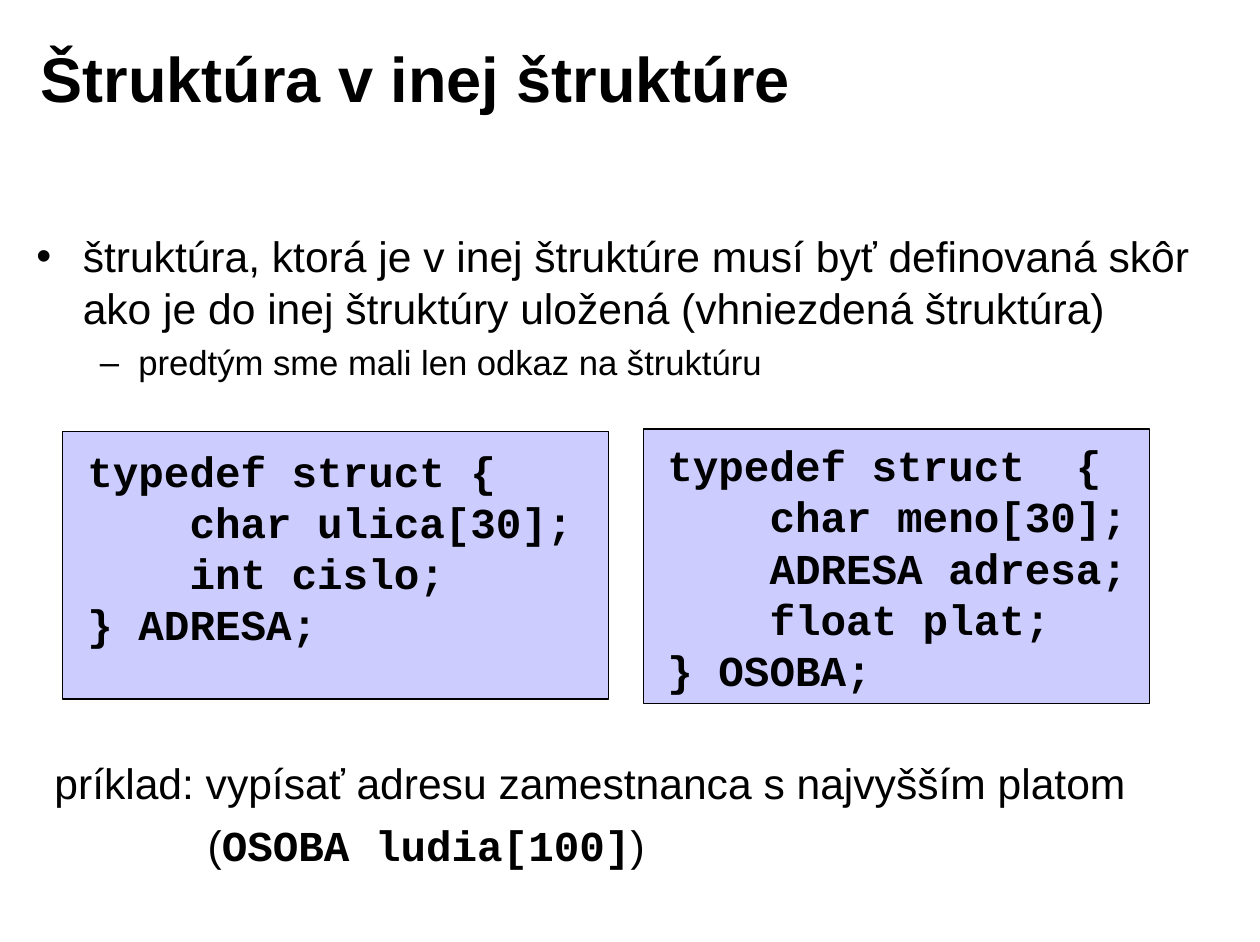
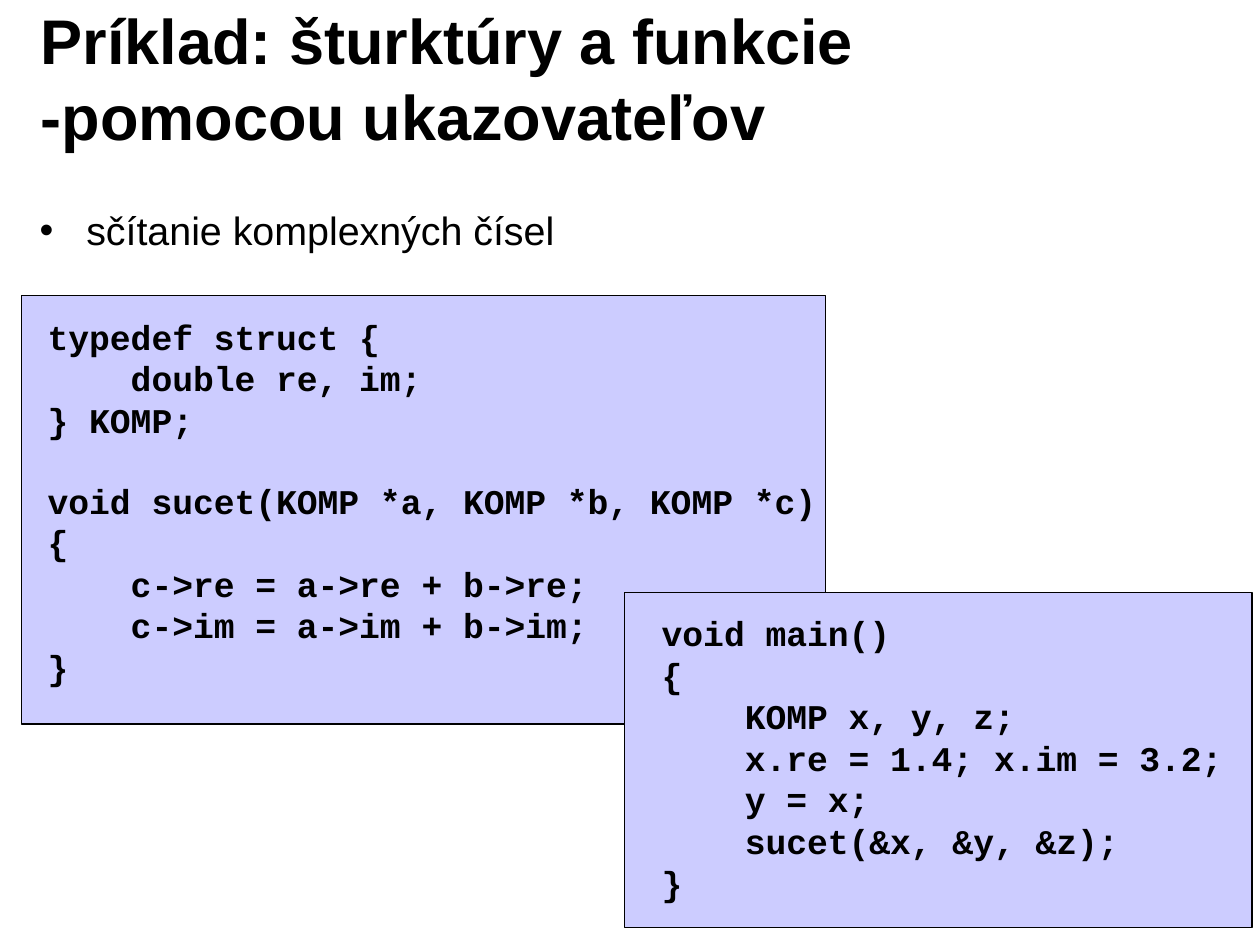
"""Builds two slides about C structures: nested structures and pointers to structures."""
import pptx
import pptx.dml.color
import pptx.enum.shapes
import pptx.enum.text
import pptx.util

BLACK = pptx.dml.color.RGBColor(0x00, 0x00, 0x00)
LAVENDER = pptx.dml.color.RGBColor(0xCC, 0xCC, 0xFF)
SANS = "Arial"
MONO = "Courier New"
WIDTH, HEIGHT = pptx.util.Inches(11.1), pptx.util.Inches(8.3)
COLUMNS, ROWS = 111, 83
INSET = (1.1, 0.6, 1.1, 0.6)
BULLETS = ((4.1, -4.1, 6.8), (9, -3.4, 5.5))

NESTED_ADDRESS = """typedef struct {
    char ulica[30];
    int cislo;
} ADRESA;"""

NESTED_PERSON = """typedef struct  {
    char meno[30];
    ADRESA adresa;
    float plat;
} OSOBA;"""

COMPLEX_SUM = """typedef struct {
    double re, im;
} KOMP;

void sucet(KOMP *a, KOMP *b, KOMP *c)
{
    c->re = a->re + b->re;
    c->im = a->im + b->im;
}"""

COMPLEX_MAIN = """void main()
{
    KOMP x, y, z;
    x.re = 1.4; x.im = 3.2;
    y = x;
    sucet(&x, &y, &z);
}"""


def across(columns):
    return round(WIDTH * columns / COLUMNS)


def down(rows):
    return round(HEIGHT * rows / ROWS)


def area(left, top, width, height):
    return across(left), down(top), across(width), down(height)


class Deck:
    """Holds the shared style and the slide being filled."""

    def __init__(self):
        self.presentation = pptx.Presentation()
        self.presentation.slide_width = WIDTH
        self.presentation.slide_height = HEIGHT
        self.slide = None

    def start(self, title):
        layout = self.presentation.slide_layouts[1]
        self.slide = self.presentation.slides.add_slide(layout)
        heading = self.slide.shapes.title
        self.place(heading, 2.5, 1.7, 89.1, 10.2)
        frame = self.frame(heading, pptx.enum.text.MSO_ANCHOR.MIDDLE)
        self.run(self.line(frame, 0), title, 40, bold=True)

    def place(self, element, *cells):
        element.left, element.top, element.width, element.height = area(*cells)

    def frame(self, element, anchor=pptx.enum.text.MSO_ANCHOR.TOP, inset=INSET):
        frame = element.text_frame
        frame.word_wrap = True
        frame.auto_size = pptx.enum.text.MSO_AUTO_SIZE.NONE
        frame.vertical_anchor = anchor
        left, top, right, bottom = inset
        frame.margin_left, frame.margin_right = across(left), across(right)
        frame.margin_top, frame.margin_bottom = down(top), down(bottom)
        return frame

    def line(self, frame, index, space_before=0):
        paragraph = frame.add_paragraph() if index else frame.paragraphs[0]
        paragraph.alignment = pptx.enum.text.PP_ALIGN.LEFT
        paragraph.space_before = pptx.util.Pt(space_before if index else 0)
        return paragraph

    def indent(self, paragraph, margin, first=0):
        properties = paragraph._p.get_or_add_pPr()
        properties.set("marL", str(across(margin)))
        properties.set("indent", str(across(first)))

    def run(self, paragraph, text, size, face=SANS, bold=False):
        run = paragraph.add_run()
        run.text = text
        run.font.name = face
        run.font.size = pptx.util.Pt(size)
        run.font.bold = bold
        run.font.color.rgb = BLACK

    def bullets(self, cells, items):
        body = self.slide.placeholders[1]
        self.place(body, *cells)
        frame = self.frame(body)
        for index, (level, size, text) in enumerate(items):
            margin, first, gap = BULLETS[level]
            paragraph = self.line(frame, index, gap)
            paragraph.level = level
            self.indent(paragraph, margin, first)
            self.run(paragraph, text, size)

    def code(self, cells, padding, size, listing):
        panel = self.slide.shapes.add_shape(
            pptx.enum.shapes.MSO_SHAPE.RECTANGLE, *area(*cells))
        panel.shadow.inherit = False
        panel.fill.solid()
        panel.fill.fore_color.rgb = LAVENDER
        panel.line.color.rgb = BLACK
        panel.line.width = pptx.util.Pt(0.75)
        frame = self.frame(panel, inset=(*padding, 0, 0))
        blocks = [block.split("\n") for block in listing.split("\n\n")]
        index = 0
        for block in blocks:
            for row, text in enumerate(block):
                gap = 0 if row else size * 1.13
                self.run(self.line(frame, index, gap), text, size, MONO, True)
                index += 1

    def remark(self, cells, size, lines):
        box = self.slide.shapes.add_textbox(*area(*cells))
        frame = self.frame(box)
        for index, (margin, pieces) in enumerate(lines):
            paragraph = self.line(frame, index, 6.8)
            self.indent(paragraph, margin)
            for text, face, bold in pieces:
                self.run(paragraph, text, size, face, bold)


def main():
    deck = Deck()

    deck.start("Štruktúra v inej štruktúre")
    deck.bullets((2.1, 19.7, 106.6, 18.8), [
        (0, 27, "štruktúra, ktorá je v inej štruktúre musí byť definovaná skôr "
                "ako je do inej štruktúry uložená (vhniezdená štruktúra)"),
        (1, 22, "predtým sme mali len odkaz na štruktúru"),
    ])
    deck.code((5.5, 38, 48.1, 23.6), (2.2, 1.2), 27, NESTED_ADDRESS)
    deck.code((56.7, 37.8, 44.6, 24.2), (2.1, 0.9), 27, NESTED_PERSON)
    deck.remark((3.7, 66.1, 96.6, 12.7), 27, [
        (0, [("príklad: vypísať adresu zamestnanca s najvyšším platom", SANS, False)]),
        (13.5, [("(", SANS, False), ("OSOBA ludia[100]", MONO, True), (")", SANS, False)]),
    ])

    deck.start("Príklad: šturktúry a funkcie -pomocou ukazovateľov")
    deck.bullets((2.4, 17.6, 96.6, 5.5), [(0, 25, "sčítanie komplexných čísel")])
    deck.code((1.9, 26, 70.8, 37.8), (2.3, 1.8), 22, COMPLEX_SUM)
    deck.code((55, 52.2, 55.3, 29.5), (3.3, 1.7), 22, COMPLEX_MAIN)

    deck.presentation.save("out.pptx")


if __name__ == "__main__":
    main()
